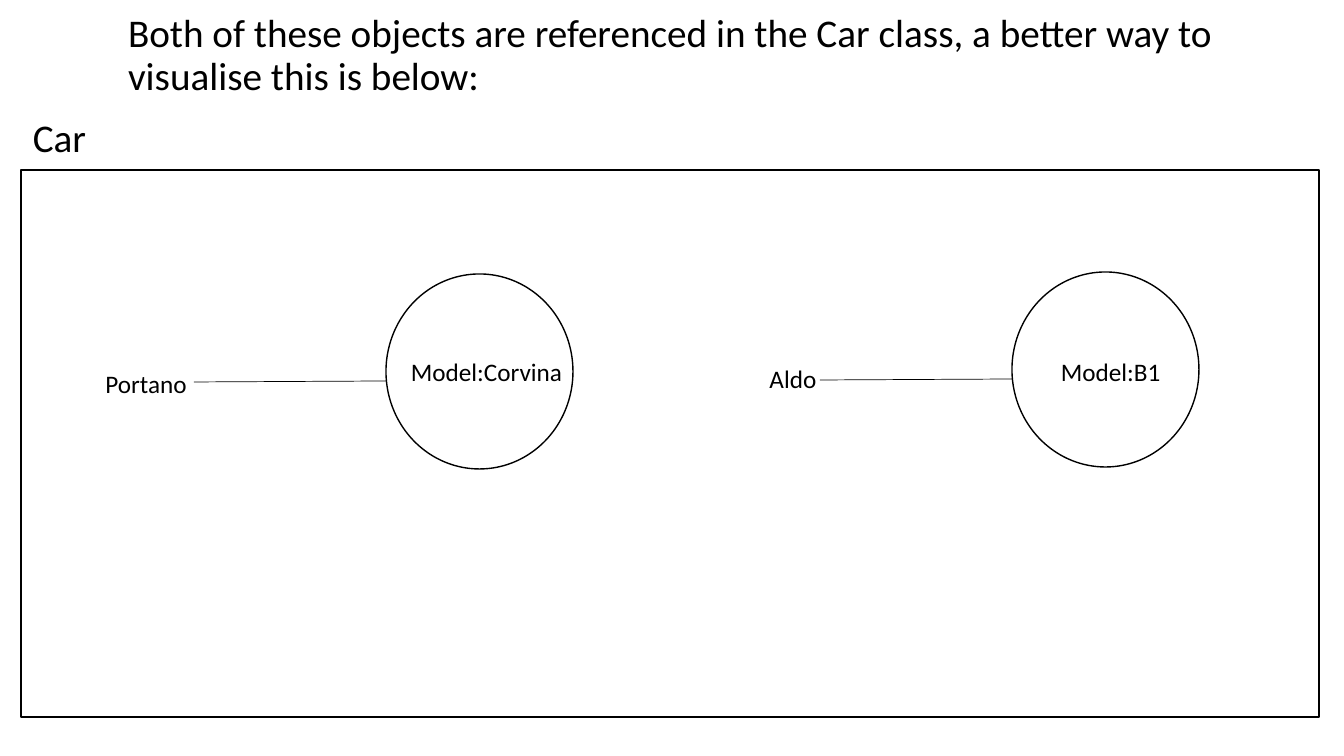
from pptx import Presentation
from pptx import util as u
from pptx.dml.color import RGBColor
from pptx.enum import shapes, text
from lxml import etree
from pptx.oxml.ns import qn

BLACK = RGBColor(0, 0, 0)
WHITE = RGBColor(255, 255, 255)


def px(*lengths):
    return [u.Emu(round(n * 914400 / 100.8)) for n in lengths]


def write(box, words, size=18, align=text.PP_ALIGN.LEFT, anchor=text.MSO_ANCHOR.TOP, wrap=True, spacing=1.0):
    frame = box.text_frame
    frame.auto_size = text.MSO_AUTO_SIZE.NONE
    frame.word_wrap = wrap
    frame.vertical_anchor = anchor
    paragraph = frame.paragraphs[0]
    paragraph.alignment = align
    paragraph.line_spacing = spacing
    run = paragraph.add_run()
    run.text = words
    run.font.name = "Calibri"
    run.font.size = u.Pt(size)
    run.font.color.rgb = BLACK


deck = Presentation()
deck.slide_width, deck.slide_height = px(1344, 756)
slide = deck.slides.add_slide(deck.slide_layouts[5])
slide.background.fill.solid()
slide.background.fill.fore_color.rgb = WHITE
parts = slide.shapes

heading = parts.title
heading.left, heading.top, heading.width, heading.height = px(118, 9, 1159, 170)
write(heading, "Both of these objects are referenced in the Car class, a better way to visualise this is below:",
      size=28, spacing=0.9)

outlines = []
cars = [
    ("Portano", 0, 300, "Model:Corvina", 401, 170, 386, 274),
    ("Aldo", 647, 295, "Model:B1", 1051, 122, 1012, 272),
]
for name, name_left, name_top, model, model_left, model_width, left, top in cars:
    reference = parts.add_textbox(*px(name_left, name_top, 292, 166))
    write(reference, name, align=text.PP_ALIGN.CENTER, anchor=text.MSO_ANCHOR.MIDDLE)

    instance = parts.add_shape(shapes.MSO_SHAPE.OVAL, *px(left, top, 187, 195))
    outlines.append(instance)

    link = parts.add_connector(shapes.MSO_CONNECTOR.STRAIGHT,
                               *px(left, top + 107, left - 192, top + 108))
    link.line.color.rgb = BLACK
    link.line.width = u.Pt(0.5)
    etree.SubElement(link._element.spPr, qn("a:effectLst"))

    attribute = parts.add_textbox(*px(model_left, 351, model_width, 40))
    write(attribute, model, wrap=False)

class_frame = parts.add_shape(shapes.MSO_SHAPE.RECTANGLE, *px(21, 170, 1298, 547))
outlines.append(class_frame)
for outline in outlines:
    outline.shadow.inherit = False
    outline.fill.background()
    outline.line.color.rgb = BLACK
    outline.line.width = u.Pt(1)

class_name = parts.add_textbox(*px(23, 114, 77, 56))
write(class_name, "Car", size=28, spacing=0.9)

deck.save("out.pptx")
